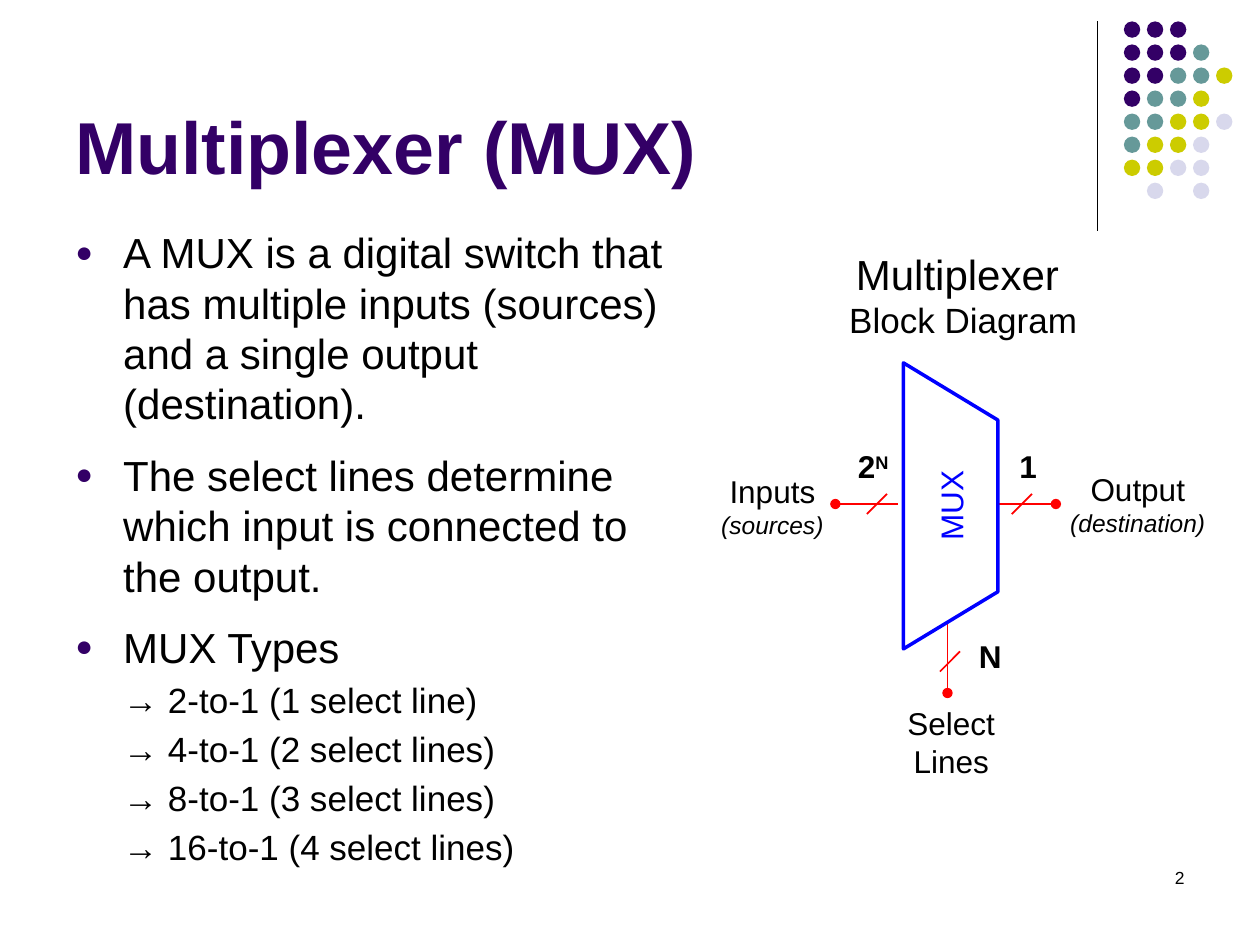
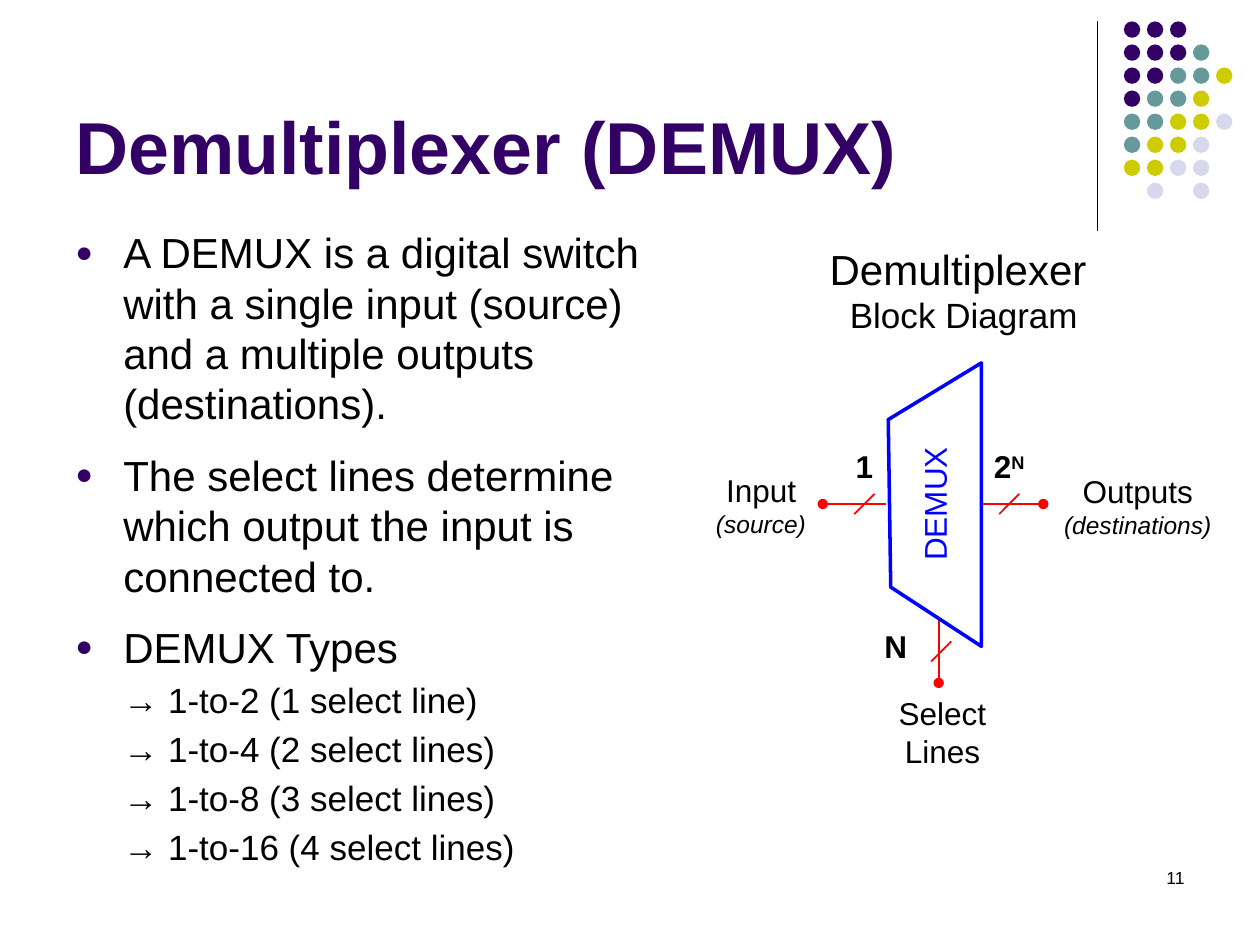
from dataclasses import dataclass

from lxml.etree import SubElement
from pptx import Presentation
from pptx.dml.color import RGBColor
from pptx.enum.shapes import MSO_CONNECTOR, MSO_SHAPE
from pptx.enum.text import MSO_ANCHOR, MSO_AUTO_SIZE, PP_ALIGN
from pptx.oxml.ns import qn
from pptx.util import Inches, Pt

# Shared style
FONT = "Arial"
BLACK = RGBColor(0x00, 0x00, 0x00)
WHITE = RGBColor(0xFF, 0xFF, 0xFF)
PURPLE = RGBColor(0x33, 0x00, 0x66)
TEAL = RGBColor(0x66, 0x99, 0x99)
YELLOW = RGBColor(0xCC, 0xCC, 0x00)
LAVENDER = RGBColor(0xD8, 0xD8, 0xEC)
RED = RGBColor(0xFF, 0x00, 0x00)
BLUE = RGBColor(0x00, 0x00, 0xFF)

DOT_COLORS = {"P": PURPLE, "T": TEAL, "Y": YELLOW, "L": LAVENDER}
DOT_ROWS = ("PPP", "PPPT", "PPTTY", "PTTY", "TTYYL", "TYYL", "YYLL", " L L")
DOT_LEFT, DOT_TOP, DOT_SIZE = 8.92, 0.17, 0.13
DOT_PITCH = 1.28 / 7
INDENT = 0.38
WIRE, SELECT_WIRE = 0.5, 0.6
SLASH = 0.08


@dataclass(frozen=True)
class Run:
    text: str
    size: int = 18
    bold: bool = False
    italic: bool = False
    color: RGBColor = BLACK
    superscript: bool = False


@dataclass(frozen=True)
class Label:
    left: float
    top: float
    width: float
    height: float
    lines: tuple[tuple[Run, ...], ...]


@dataclass(frozen=True)
class Wires:
    left: float
    right: float
    select: float
    bottom: float


@dataclass(frozen=True)
class Topic:
    number: int
    title: str
    body_width: float
    bullets: tuple[str, ...]
    types: tuple[str, ...]
    wires: Wires
    labels: tuple[Label, ...]


def add_runs(p, runs: tuple[Run, ...]) -> None:
    for run in runs:
        r = p.add_run()
        r.text = run.text
        r.font.name, r.font.size = FONT, Pt(run.size)
        r.font.bold, r.font.italic = run.bold, run.italic
        r.font.color.rgb = run.color
        if run.superscript:
            r._r.get_or_add_rPr().set("baseline", "30000")


def next_paragraph(tf, first: bool):
    return tf.paragraphs[0] if first else tf.add_paragraph()


def add_text(s, left: float, top: float, width: float, height: float):
    sp = s.shapes.add_textbox(Inches(left), Inches(top), Inches(width), Inches(height))
    sp.text_frame.word_wrap = True
    return sp


def add_label(s, label: Label):
    sp = add_text(s, label.left, label.top, label.width, label.height)
    tf = sp.text_frame
    tf.word_wrap = False
    tf.auto_size = MSO_AUTO_SIZE.SHAPE_TO_FIT_TEXT
    for i, runs in enumerate(label.lines):
        p = next_paragraph(tf, i == 0)
        p.alignment = PP_ALIGN.CENTER
        add_runs(p, runs)
    return sp


def add_line(s, x1: float, y1: float, x2: float, y2: float,
             color: RGBColor = RED, width: float = 1, dot: bool = False) -> None:
    cx = s.shapes.add_connector(MSO_CONNECTOR.STRAIGHT, Inches(x1), Inches(y1),
                                Inches(x2), Inches(y2))
    cx.line.color.rgb, cx.line.width = color, Pt(width)
    if dot:
        SubElement(cx.line._get_or_add_ln(), qn("a:headEnd"), type="oval")
    SubElement(cx._element.spPr, qn("a:effectLst"))


def style_shape(sp, fill: RGBColor, line: RGBColor | None = None) -> None:
    sp.shadow.inherit = False
    sp.fill.solid()
    sp.fill.fore_color.rgb = fill
    if line is None:
        sp.line.fill.background()
    else:
        sp.line.color.rgb, sp.line.width = line, Pt(2)


def set_indent(p, left: float, first: float, bullet: bool) -> None:
    pPr = p._p.get_or_add_pPr()
    pPr.set("marL", str(Inches(left)))
    pPr.set("indent", str(Inches(first)))
    if bullet:
        clr = SubElement(pPr, qn("a:buClr"))
        SubElement(clr, qn("a:srgbClr"), val=str(PURPLE))
        SubElement(pPr, qn("a:buSzPct"), val="70000")
        SubElement(pPr, qn("a:buFont"), typeface=FONT)
        SubElement(pPr, qn("a:buChar"), char="●")


# Slide frame: rule, dots, title, number
def add_frame(s, topic: Topic) -> None:
    add_line(s, 8.71, 0.17, 8.71, 1.83, BLACK, 0.75)
    for row, codes in enumerate(DOT_ROWS):
        for col, code in enumerate(codes):
            if code in DOT_COLORS:
                sp = s.shapes.add_shape(
                    MSO_SHAPE.OVAL, Inches(DOT_LEFT + col * DOT_PITCH),
                    Inches(DOT_TOP + row * DOT_PITCH), Inches(DOT_SIZE), Inches(DOT_SIZE))
                style_shape(sp, DOT_COLORS[code])
    tf = add_text(s, 0.5, 0.3, 9.5, 1.25).text_frame
    tf.vertical_anchor = MSO_ANCHOR.BOTTOM
    add_runs(tf.paragraphs[0], (Run(topic.title, 42, bold=True, color=PURPLE),))
    p = add_text(s, 7.17, 6.83, 2.33, 0.5).text_frame.paragraphs[0]
    p.alignment = PP_ALIGN.RIGHT
    add_runs(p, (Run(str(topic.number), 10),))


def add_body(s, topic: Topic) -> None:
    tf = add_text(s, 0.5, 1.75, topic.body_width, 5.5).text_frame
    for i, text in enumerate(topic.bullets):
        p = next_paragraph(tf, i == 0)
        if i < len(topic.bullets) - 1:
            p.space_after = Pt(12)
        set_indent(p, INDENT, -INDENT, True)
        add_runs(p, (Run(text, 24),))
    for i, name in enumerate(topic.types, 1):
        p = tf.add_paragraph()
        p.space_before = Pt(4)
        set_indent(p, 2 * INDENT, -INDENT, False)
        plural = "s" if i > 1 else ""
        add_runs(p, (Run(f"→ {name} ({i} select line{plural})", 20),))


def add_wires(s, w: Wires) -> None:
    y = 4
    add_line(s, w.right, y, w.right - WIRE, y, dot=True)
    add_line(s, w.left, y, w.left + WIRE, y, dot=True)
    add_line(s, w.select, w.bottom, w.select, w.bottom - SELECT_WIRE, dot=True)
    crossings = ((w.right - 0.27, y), (w.left + 0.33, y), (w.select + 0.02, w.bottom - 0.25))
    for cx, cy in crossings:
        add_line(s, cx - SLASH, cy + SLASH, cx + SLASH, cy - SLASH)


def add_mux_block(s) -> None:
    sp = s.shapes.add_shape(MSO_SHAPE.FLOWCHART_MANUAL_OPERATION,
                            Inches(6.41), Inches(3.64), Inches(2.27), Inches(0.75))
    sp.rotation = 270
    style_shape(sp, WHITE, BLUE)
    tf = sp.text_frame
    tf.vertical_anchor = MSO_ANCHOR.MIDDLE
    tf.paragraphs[0].alignment = PP_ALIGN.CENTER
    add_runs(tf.paragraphs[0], (Run("MUX", color=BLUE),))


def add_demux_block(s) -> None:
    corners = [(Inches(x), Inches(y))
               for x, y in ((7.07, 4.66), (7.05, 3.33), (7.79, 2.88), (7.79, 5.13))]
    fb = s.shapes.build_freeform(*corners[0])
    fb.add_line_segments(corners[1:], close=True)
    style_shape(fb.convert_to_shape(), WHITE, BLUE)
    sp = add_label(s, Label(6.86, 3.8, 1.11, 0.4, ((Run("DEMUX", color=BLUE),),)))
    sp.rotation = 270


# Diagram label kinds
def heading(left: float, top: float, width: float, name: str) -> Label:
    return Label(left, top, width, 0.84, ((Run(name + " ", 24),), (Run("Block Diagram", 20),)))


def terminal(left: float, top: float, width: float, name: str, role: str) -> Label:
    return Label(left, top, width, 0.64, ((Run(name),), (Run(f"({role})", 14, italic=True),)))


def select_label(left: float, top: float) -> Label:
    return Label(left, top, 0.9, 0.71, ((Run("Select"),), (Run("Lines"),)))


def count(left: float, top: float, width: float, base: str, power: str = "") -> Label:
    runs = (Run(base, bold=True),)
    if power:
        runs += (Run(power, bold=True, superscript=True),)
    return Label(left, top, width, 0.4, (runs,))


# Slide content
MUX = Topic(
    2, "Multiplexer (MUX)", 5,
    ("A MUX is a digital switch that has multiple inputs (sources) and a single output "
     "(destination).",
     "The select lines determine which input is connected to the output.",
     "MUX Types"),
    ("2-to-1", "4-to-1", "8-to-1", "16-to-1"),
    Wires(6.63, 8.38, 7.52, 5.5),
    (heading(6.63, 1.92, 2.03, "Multiplexer"),
     select_label(7.1, 5.54),
     terminal(5.62, 3.7, 1.02, "Inputs", "sources"),
     terminal(8.39, 3.68, 1.28, "Output", "destination"),
     count(7.99, 3.5, 0.34, "1"),
     count(6.7, 3.5, 0.46, "2", "N"),
     count(7.67, 5.01, 0.38, "N")))

DEMUX = Topic(
    11, "Demultiplexer (DEMUX)", 4.92,
    ("A DEMUX is a digital switch with a single input (source) and a multiple outputs "
     "(destinations).",
     "The select lines determine which output the input is connected to.",
     "DEMUX Types"),
    ("1-to-2", "1-to-4", "1-to-8", "1-to-16"),
    Wires(6.53, 8.28, 7.45, 5.42),
    (heading(6.48, 1.88, 2.34, "Demultiplexer"),
     select_label(7.03, 5.46),
     terminal(5.58, 3.69, 0.92, "Input", "source"),
     terminal(8.34, 3.7, 1.38, "Outputs", "destinations"),
     count(7.78, 3.5, 0.46, "2", "N"),
     count(6.69, 3.5, 0.34, "1"),
     count(6.92, 4.93, 0.38, "N")))

# Build the deck
prs = Presentation()
prs.slide_width, prs.slide_height = Inches(10), Inches(7.5)
for topic, add_block in ((MUX, add_mux_block), (DEMUX, add_demux_block)):
    s = prs.slides.add_slide(prs.slide_layouts[6])
    add_frame(s, topic)
    add_body(s, topic)
    add_wires(s, topic.wires)
    for label in topic.labels:
        add_label(s, label)
    add_block(s)
prs.save("out.pptx")
